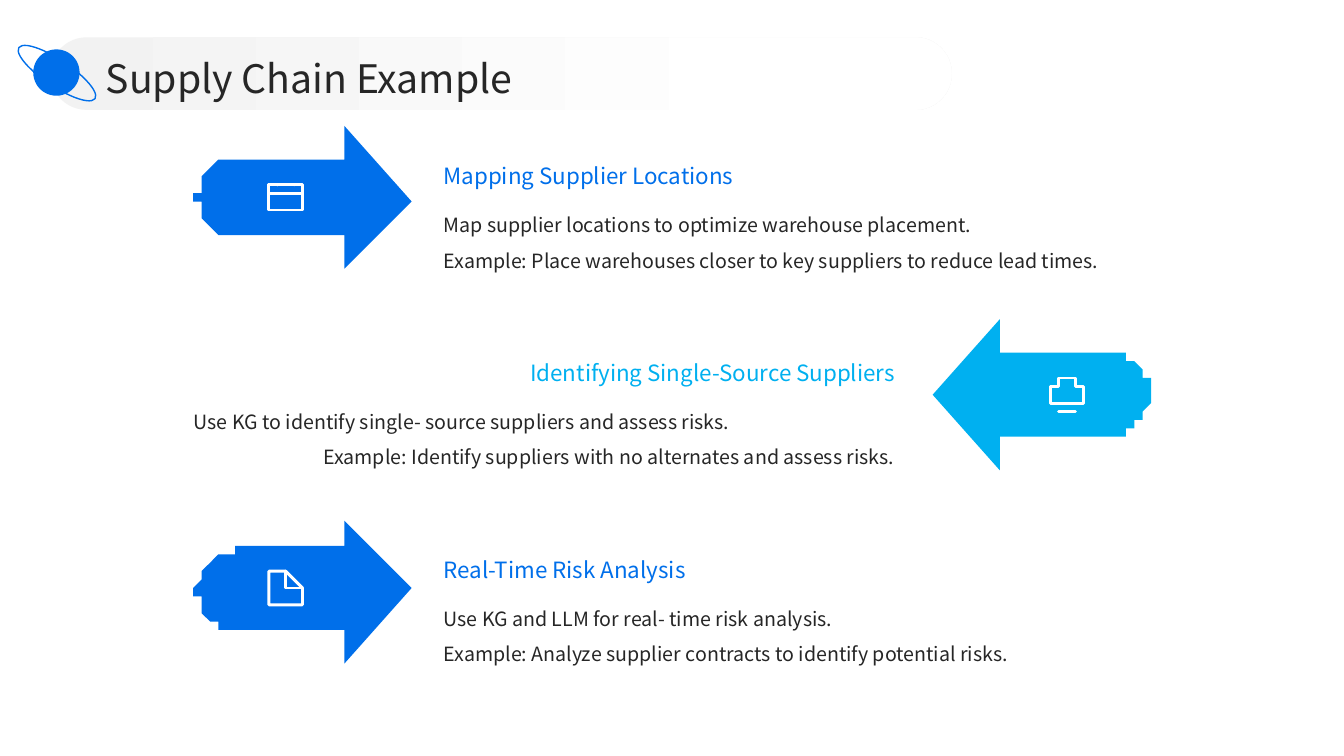
from math import cos, radians, sin

from pptx import Presentation
from pptx.dml.color import RGBColor
from pptx.enum.shapes import MSO_SHAPE
from pptx.enum.text import MSO_ANCHOR, PP_ALIGN
from pptx.oxml.ns import qn
from pptx.util import Inches, Pt

LEFT, RIGHT = PP_ALIGN.LEFT, PP_ALIGN.RIGHT
TOP, MIDDLE, BOTTOM = MSO_ANCHOR.TOP, MSO_ANCHOR.MIDDLE, MSO_ANCHOR.BOTTOM
ELLIPSE, ROUNDED = MSO_SHAPE.OVAL, MSO_SHAPE.ROUNDED_RECTANGLE

COLORS = {"blue": "006FEA", "sky": "00B0F0", "ink": "262626",
          "white": "FFFFFF", "mist": "F2F2F2"}
FONT = "Noto Sans CJK SC"
FORMATS = {
    "title": {"size": Pt(28), "spacing": 1.1, "anchor": MIDDLE},
    "heading": {"size": Pt(16), "spacing": 1.3, "anchor": BOTTOM},
    "body": {"size": Pt(14), "spacing": 1.5, "anchor": TOP},
}

# Square grid of 160 columns by 90 rows
CELL = Inches(7.5) / 90
ARROW_W, ARROW_H = 25.92, 17.2
FIRST_ROW, ROW_STEP = 23.5, 23.43


def arc(cx, cy, rx, ry, start, end, steps=12):
    """Points along an elliptical arc, in degrees clockwise from the right."""
    angles = [radians(start + (end - start) * i / steps) for i in range(steps + 1)]
    return [(cx + rx * cos(a), cy + ry * sin(a)) for a in angles]


def corner(cx, cy, start, radius=0.55):
    return arc(cx, cy, radius, radius, start, start + 90, 6)


# Icon strokes around the icon's centre: (points, closed)
CALENDAR = [
    (corner(-1.55, -0.9, 180) + corner(1.55, -0.9, 270)
     + corner(1.55, 1.35, 0) + corner(-1.55, 1.35, 90), True),
    ([(-2.1, -0.3), (2.1, -0.3)], False),
    *[([(x, -1.92), (x, -1.02)], False) for x in (-0.84, 0.84)],
]
BELL = [
    (arc(0, -0.48, 1.56, 1.62, 180, 360, 24)
     + [(1.56, 0.84), (2, 1.54), (-2, 1.54), (-1.56, 0.84)], True),
    ([(-1.1, 2.1), (1.1, 2.1)], False),
]
DOCUMENT = [
    (corner(-1.25, -1.55, 180) + [(0.22, -2.1), (1.8, -0.42)]
     + corner(1.25, 1.55, 0) + corner(-1.25, 1.55, 90), True),
    ([(0.22, -2.1)] + arc(0.82, -1.02, 0.6, 0.6, 180, 90, 6) + [(1.8, -0.42)], False),
]

# heading, lines with their alignment, colour, side, icon, icon inset
STEPS = [
    ("Mapping Supplier Locations",
     [("Map supplier locations to optimize warehouse placement.", LEFT),
      ("Example: Place warehouses closer to key suppliers to reduce lead times.", LEFT)],
     "blue", LEFT, CALENDAR, 10.5),
    ("Identifying Single-Source Suppliers",
     [("Use KG to identify single- source suppliers and assess risks.", LEFT),
      ("Example: Identify suppliers with no alternates and assess risks.", RIGHT)],
     "sky", RIGHT, BELL, 9.8),
    ("Real-Time Risk Analysis",
     [("Use KG and LLM for real- time risk analysis.", LEFT),
      ("Example: Analyze supplier contracts to identify potential risks.", LEFT)],
     "blue", LEFT, DOCUMENT, 10.5),
]


class Deck:
    def __init__(self):
        self.prs = Presentation()
        self.prs.slide_width, self.prs.slide_height = Inches(13.33), Inches(7.5)
        self.slide = self.prs.slides.add_slide(self.prs.slide_layouts[6])
        self.shapes = self.slide.shapes

    def color(self, name):
        return RGBColor.from_string(COLORS[name])

    def cells(self, *lengths):
        return [round(length * CELL) for length in lengths]

    def paint(self, shape, fill=None, line=None, weight=1):
        shape.shadow.inherit = False
        if fill:
            shape.fill.solid()
            shape.fill.fore_color.rgb = self.color(fill)
        else:
            shape.fill.background()
        if line:
            shape.line.color.rgb = self.color(line)
            shape.line.width = Pt(weight)
        else:
            shape.line.fill.background()
        return shape

    def preset(self, kind, box, **style):
        return self.paint(self.shapes.add_shape(kind, *self.cells(*box)), **style)

    def outline(self, strokes, x, y, **style):
        builder = None
        for points, closed in strokes:
            placed = [(x + px, y + py) for px, py in points]
            if builder is None:
                builder = self.shapes.build_freeform(*placed[0], scale=CELL)
            else:
                builder.move_to(*placed[0])
            builder.add_line_segments(placed[1:], close=closed)
        return self.paint(builder.convert_to_shape(), **style)

    def icon(self, strokes, x, y):
        drawing = self.outline(strokes, x, y, line="white", weight=2.1)
        drawing._element.spPr.find(qn("a:ln")).set("cap", "rnd")

    def arrow(self, x, y, side, color):
        head, half = 17.4, 4.95
        points = [(head, -ARROW_H / 2), (ARROW_W, 0), (head, ARROW_H / 2), (head, half)]
        points += arc(5.28, 0, 5.28, half, 90, 270, 32) + [(head, -half)]
        if side == RIGHT:
            points = [(ARROW_W - px, py) for px, py in points]
        self.outline([(points, True)], x, y, fill=color)

    def text(self, lines, box, style, color="ink"):
        form = FORMATS[style]
        frame = self.shapes.add_textbox(*self.cells(*box)).text_frame
        settings = {"word_wrap": True, "vertical_anchor": form["anchor"],
                    "margin_left": 0, "margin_right": 0,
                    "margin_top": 0, "margin_bottom": 0}
        for name, value in settings.items():
            setattr(frame, name, value)
        for i, (line, align) in enumerate(lines):
            paragraph = frame.add_paragraph() if i else frame.paragraphs[0]
            paragraph.alignment, paragraph.line_spacing = align, form["spacing"]
            run = paragraph.add_run()
            run.text = line
            for name, value in {"name": FONT, "size": form["size"]}.items():
                setattr(run.font, name, value)
            run.font.color.rgb = self.color(color)

    def title(self, wording):
        band = self.preset(ROUNDED, (6, 4.44, 107.28, 8.64), fill="mist")
        band.adjustments[0] = 0.5
        band.fill.gradient()
        band.fill.gradient_angle = 0
        for stop, (position, name) in zip(band.fill.gradient_stops,
                                          [(0, "mist"), (0.8, "white")]):
            stop.position, stop.color.rgb = position, self.color(name)
        self.text([(wording, LEFT)], (12.6, 5.88, 140, 6.12), "title")
        planet = self.preset(ELLIPSE, (3.96, 5.88, 5.52, 5.52), fill="blue")
        ring = self.preset(ELLIPSE, (1.32, 7.15, 10.92, 3.12), line="blue")
        ring.rotation = 33.8
        self.shapes.add_group_shape([planet, ring])

    def step(self, row, heading, lines, color, side, icon, inset):
        y = FIRST_ROW + row * ROW_STEP
        on_left = side == LEFT
        arrow_x = 23.4 if on_left else 110.88
        text_x = 52.8 if on_left else 23.04
        self.arrow(arrow_x, y, side, color)
        self.text(lines, (text_x, y + 0.5, 83.5, 9.6), "body")
        self.text([(heading, side)], (text_x, y - 8.5, 83.5, 7.56), "heading", color)
        self.icon(icon, arrow_x + (inset if on_left else ARROW_W - inset), y)


def main():
    deck = Deck()
    # Supply chain steps
    for row, step in enumerate(STEPS):
        deck.step(row, *step)
    # Title band with planet
    deck.title("Supply Chain Example")
    deck.prs.save("out.pptx")


if __name__ == "__main__":
    main()
